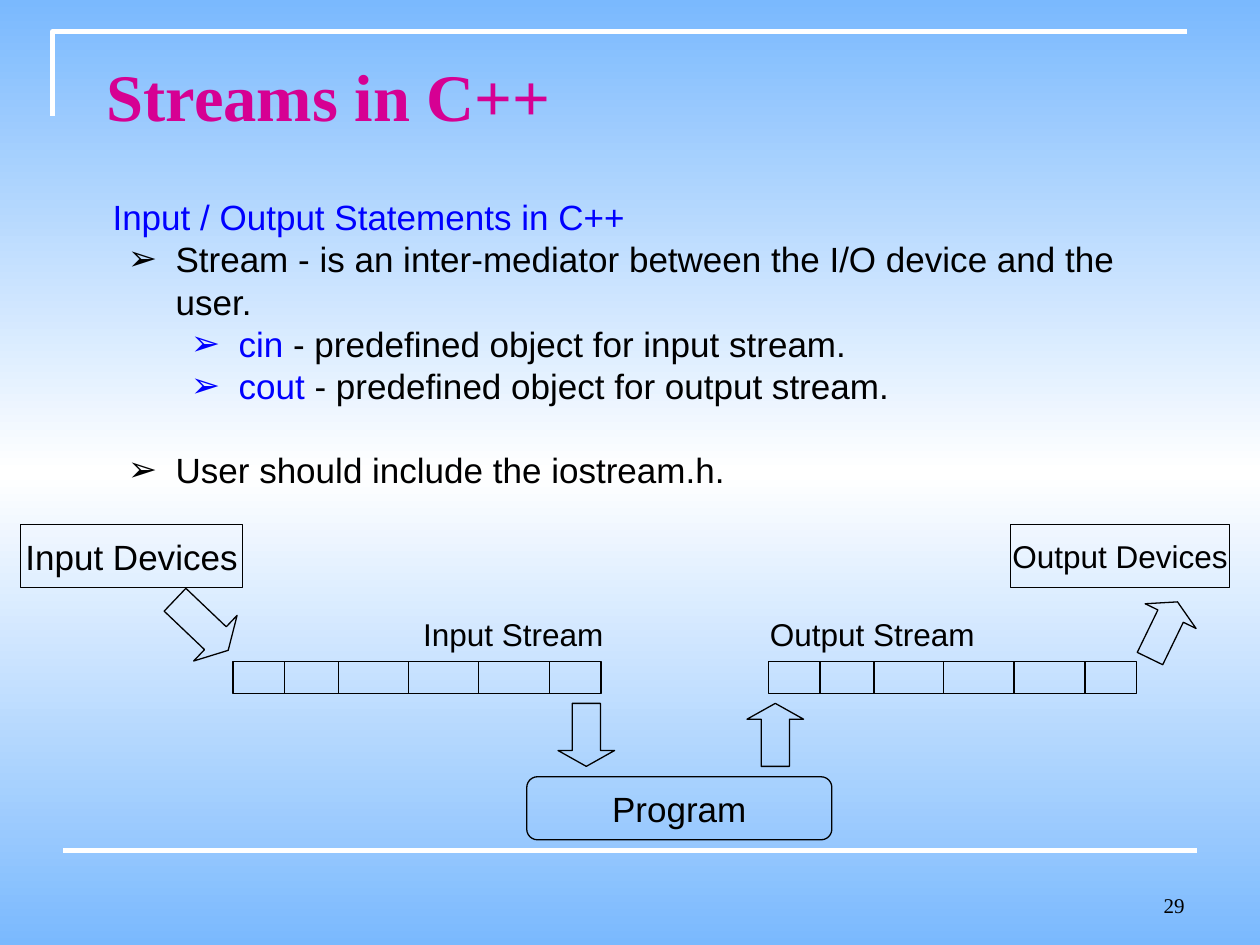
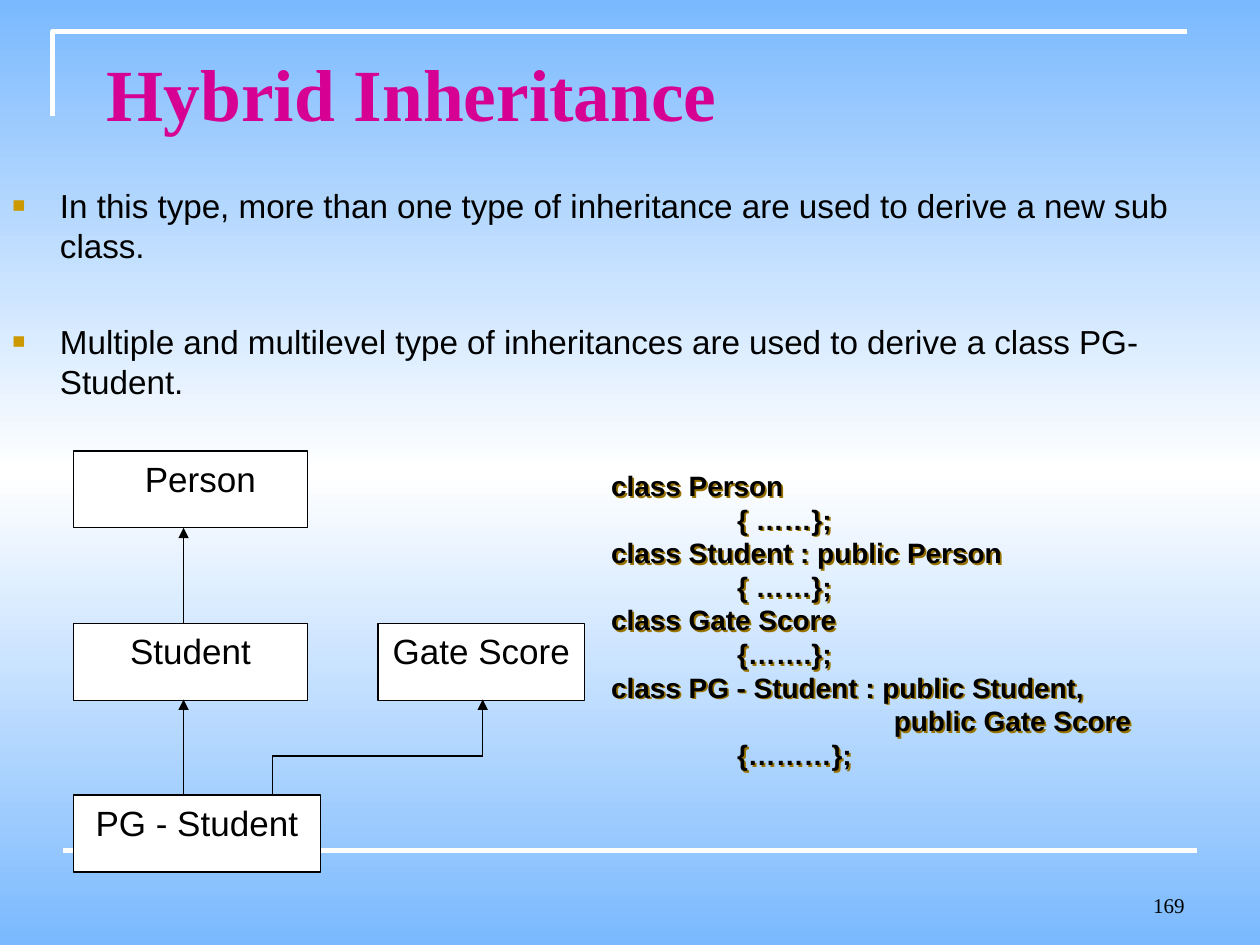
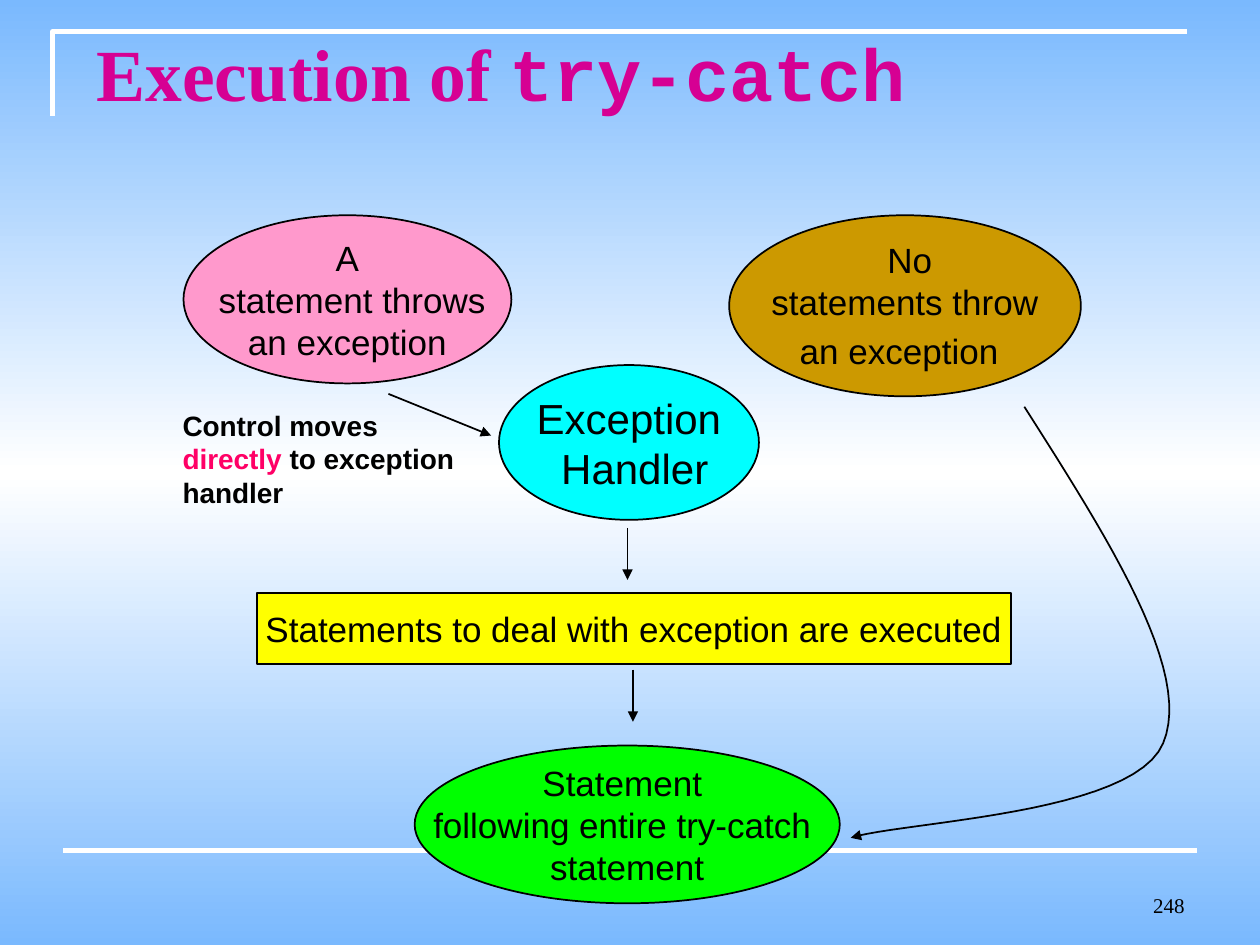
from lxml import etree
from pptx import Presentation
from pptx.dml.color import RGBColor
from pptx.enum.shapes import MSO_CONNECTOR, MSO_SHAPE
from pptx.enum.text import MSO_ANCHOR, PP_ALIGN
from pptx.oxml.ns import qn
from pptx.util import Cm, Pt

RECT, ROUND, OVAL = MSO_SHAPE.RECTANGLE, MSO_SHAPE.ROUNDED_RECTANGLE, MSO_SHAPE.OVAL
DOWN, UP = MSO_SHAPE.DOWN_ARROW, MSO_SHAPE.UP_ARROW
STRAIGHT = MSO_CONNECTOR.STRAIGHT
TOP, MIDDLE, BOTTOM = MSO_ANCHOR.TOP, MSO_ANCHOR.MIDDLE, MSO_ANCHOR.BOTTOM
LEFT, CENTER, RIGHT = PP_ALIGN.LEFT, PP_ALIGN.CENTER, PP_ALIGN.RIGHT

SKY, WHITE, BLACK = "7AB9FE", "FFFFFF", "000000"
MAGENTA, BLUE, GOLD, DARK_GOLD, ROSE = "D60093", "0000FF", "CC9900", "997300", "FF0066"
SANS, SERIF, MONO = "Arial", "Times New Roman", "Courier New"
HANG = 0.96
CELL_EDGES = (1.04, 2.13, 3.53, 4.95, 6.38)


def rgb(color):
    """Turn a hex string into a colour."""
    return RGBColor.from_string(color)


def child(parent, tag, **attrs):
    """Append an XML element with attributes."""
    return etree.SubElement(parent, qn(tag), {k: str(v) for k, v in attrs.items()})


def add_bullet(p, char, color, percent):
    """Give a paragraph a coloured bullet character."""
    pPr = p._p.get_or_add_pPr()
    child(child(pPr, "a:buClr"), "a:srgbClr", val=color)
    child(pPr, "a:buSzPct", val=percent * 1000)
    child(pPr, "a:buFont", typeface=SANS)
    child(pPr, "a:buChar", char=char)


def add_text(tf, content, size=20, color=BLACK, font=SANS, bold=False, align=LEFT,
             indent=0, before=0, bullet=None, bullet_color=BLACK, percent=100):
    """Add one paragraph from a string or a list of (text, format) runs."""
    p = tf.paragraphs[0] if not tf.paragraphs[0].runs else tf.add_paragraph()
    p.alignment = align
    p.space_before = Pt(before)
    pPr = p._p.get_or_add_pPr()
    pPr.set("marL", str(Cm(indent)))
    pPr.set("indent", str(-Cm(HANG) if bullet else 0))
    if bullet:
        add_bullet(p, bullet, bullet_color, percent)
    for text, own in [(content, {})] if isinstance(content, str) else content:
        r = p.add_run()
        r.text = text
        r.font.size = Pt(own.get("size", size))
        r.font.name = own.get("font", font)
        r.font.bold = bold
        r.font.color.rgb = rgb(own.get("color", color))


def set_frame(sp, anchor, wrap):
    """Set anchor, wrapping and insets of a text frame."""
    tf = sp.text_frame
    tf.word_wrap = wrap
    tf.vertical_anchor = anchor
    tf.margin_left = tf.margin_right = Cm(0.25)
    tf.margin_top = tf.margin_bottom = Cm(0.13)
    return tf


def add_box(s, x, y, w, h, anchor=TOP):
    """Add a wrapping text box and return its text frame."""
    return set_frame(s.shapes.add_textbox(Cm(x), Cm(y), Cm(w), Cm(h)), anchor, True)


def set_line(sp, color, width, arrow=False):
    """Style an outline and optionally end it with an arrowhead."""
    sp.line.color.rgb = rgb(color)
    sp.line.width = Pt(width)
    if arrow:
        child(sp.element.spPr.find(qn("a:ln")), "a:tailEnd", type="triangle")


def add_node(s, kind, x, y, w, h, lines=(), fill=None, width=0.75, anchor=MIDDLE,
             wrap=False, adj=None, rotation=0, **fmt):
    """Add an outlined preset shape with centred lines of text."""
    sp = s.shapes.add_shape(kind, Cm(x), Cm(y), Cm(w), Cm(h))
    sp.shadow.inherit = False
    sp.rotation = rotation
    if fill:
        sp.fill.solid()
        sp.fill.fore_color.rgb = rgb(fill)
    else:
        sp.fill.background()
    set_line(sp, BLACK, width)
    for i, value in enumerate(adj or ()):
        sp.adjustments[i] = value
    tf = set_frame(sp, anchor, wrap)
    for line in lines:
        add_text(tf, line, align=CENTER, **fmt)
    return sp


def add_line(s, x1, y1, x2, y2, color=BLACK, width=0.75, arrow=False):
    """Add a straight connector."""
    c = s.shapes.add_connector(STRAIGHT, Cm(x1), Cm(y1), Cm(x2), Cm(y2))
    set_line(c, color, width, arrow)
    child(c.element.spPr, "a:effectLst")


def add_path(s, points, color=BLACK, width=1, arrow=False):
    """Add an open unfilled outline through points."""
    pts = [(Cm(x), Cm(y)) for x, y in points]
    fb = s.shapes.build_freeform(*pts[0], scale=1.0)
    fb.add_line_segments(pts[1:], close=False)
    sp = fb.convert_to_shape()
    sp.shadow.inherit = False
    sp.fill.background()
    set_line(sp, color, width, arrow)


def bezier(a, b, c, d, steps=24):
    """Return points along a cubic curve."""
    curve = []
    for i in range(steps + 1):
        t = i / steps
        weights = ((1 - t) ** 3, 3 * t * (1 - t) ** 2, 3 * t * t * (1 - t), t ** 3)
        curve.append(tuple(sum(k * q[axis] for k, q in zip(weights, (a, b, c, d)))
                           for axis in (0, 1)))
    return curve


def set_background(master):
    """Fill the master with a vertical sky gradient."""
    master.background.fill.gradient()
    master.background.fill.gradient_angle = 90
    stops = master.element.find(".//" + qn("a:gsLst"))
    for gs in list(stops):
        stops.remove(gs)
    for pos, color in ((0, SKY), (50, WHITE), (100, SKY)):
        child(child(stops, "a:gs", pos=pos * 1000), "a:srgbClr", val=color)


def new_slide(prs, number, title, x, y, w, h, size=42, anchor=MIDDLE):
    """Add a slide with the white rules, page number and title."""
    s = prs.slides.add_slide(prs.slide_layouts[6])
    add_path(s, [(1.06, 2.33), (1.06, 0.64), (23.92, 0.64)], WHITE, 3)
    add_line(s, 1.27, 17.15, 24.13, 17.15, WHITE, 3)
    add_text(add_box(s, 18.2, 17.36, 5.93, 1.27, BOTTOM), str(number),
             size=12, font=SERIF, align=RIGHT)
    add_text(add_box(s, x, y, w, h, anchor), title,
             size=size, font=SERIF, color=MAGENTA, bold=True)
    return s


def add_stream(s, x, label, label_x):
    """Add a labelled buffer split into cells."""
    add_node(s, RECT, x, 13.34, 7.42, 0.64)
    for edge in CELL_EDGES:
        add_line(s, x + edge, 13.34, x + edge, 13.98)
    add_text(add_box(s, label_x, 12.27, 4.65, 1.02), label, size=18)


def streams_slide(prs):
    """Build the slide on streams."""
    s = new_slide(prs, 29, "Streams in C++", 1.9, 0.64, 22.65, 2.54, size=38)
    tf = add_box(s, 1.06, 3.82, 22.86, 6.19)
    add_text(tf, "Input / Output Statements in C++", color=BLUE, indent=HANG)
    add_text(tf, "Stream - is an inter-mediator between the I/O device and the user.",
             indent=2.23, bullet="➢")
    for name, rest in (("cin ", "- predefined object for input stream."),
                       ("cout", " - predefined object for output stream.")):
        add_text(tf, [(name, {"color": BLUE}), (rest, {})],
                 indent=3.5, bullet="➢", bullet_color=BLUE)
    add_text(tf, "User should include the iostream.h.", indent=2.23, bullet="➢", before=24)

    add_node(s, RECT, 0.42, 10.58, 4.47, 1.27, ["Input Devices"])
    add_node(s, RECT, 20.37, 10.58, 4.42, 1.27, ["Output Devices"], size=18)
    add_stream(s, 4.7, "Input Stream", 8.28)
    add_stream(s, 15.49, "Output Stream", 15.27)
    add_node(s, ROUND, 10.62, 15.66, 6.15, 1.27, ["Program"], adj=[0.17])
    for kind, x, y, w, h, turn in ((DOWN, 3.43, 11.86, 1.27, 1.48, 313.6),
                                   (UP, 22.89, 12.07, 1.14, 1.27, 25.9),
                                   (DOWN, 11.25, 14.18, 1.14, 1.27, 0),
                                   (UP, 15.06, 14.18, 1.14, 1.27, 0)):
        add_node(s, kind, x, y, w, h, adj=[0.5, 0.28], rotation=turn)


def add_code(s):
    """Add the class listing with its text shadow."""
    sp = s.shapes.add_textbox(Cm(12.07), Cm(9.32), Cm(12.47), Cm(6.35))
    shadow = child(child(sp.element.spPr, "a:effectLst"), "a:outerShdw",
                   dist=Cm(0.05), dir=2700000, algn="ctr", rotWithShape=0)
    child(shadow, "a:srgbClr", val=DARK_GOLD)
    tf = set_frame(sp, MIDDLE, True)
    for indent, line in ((0, "class Person"), (2.54, "{ ……};"),
                         (0, "class Student : public Person"), (2.54, "{ ……};"),
                         (0, "class Gate Score"), (2.54, "{…….};"),
                         (0, "class PG - Student : public Student,"),
                         (5.7, "public Gate Score"), (2.54, "{………};")):
        add_text(tf, line, size=16, bold=True, indent=indent)


def inheritance_slide(prs):
    """Build the slide on hybrid inheritance."""
    s = new_slide(prs, 169, "Hybrid Inheritance", 1.9, 0.76, 22.23, 2.21)
    tf = add_box(s, 0, 3.6, 24.34, 13.54)
    for before, text in (
            (4.8, "In this type, more than one type of inheritance are used to derive "
                  "a new sub class."),
            (32.4, "Multiple and multilevel type of inheritances are used to derive "
                   "a class PG-Student.")):
        add_text(tf, text, size=19, indent=HANG, before=before,
                 bullet="■", bullet_color=GOLD, percent=65)
    for name, x, y, w in (("Person", 1.48, 9.09, 4.72), ("Student", 1.48, 12.57, 4.72),
                          ("PG - Student", 1.48, 16.03, 4.98),
                          ("Gate Score", 7.62, 12.57, 4.17)):
        sp = add_node(s, RECT, x, y, w, 1.55, [name], fill=WHITE, anchor=TOP, wrap=True)
        if name == "Person":
            sp.text_frame.margin_left = Cm(0.65)
    add_line(s, 3.7, 12.57, 3.7, 10.64, arrow=True)
    add_line(s, 3.7, 16.03, 3.7, 14.1, arrow=True)
    add_line(s, 5.49, 15.24, 5.49, 16.03)
    add_line(s, 5.49, 15.24, 9.73, 15.24)
    add_line(s, 9.73, 15.24, 9.73, 14.1, arrow=True)
    add_code(s)


def exception_slide(prs):
    """Build the slide on exception handling."""
    title = [("Execution of ", {}), ("try-catch", {"font": MONO})]
    s = new_slide(prs, 248, title, 1.7, 0.43, 21.8, 3.18, anchor=TOP)
    no_throw = [" No", " statements throw ", [("an exception", {}), (" ", {"size": 24})]]
    for kind, x, y, w, h, fill, size, lines in (
            (OVAL, 14.7, 4.34, 7.09, 3.65, GOLD, 20, no_throw),
            (OVAL, 8.36, 15.03, 8.57, 3.18, "00FF00", 20,
             ["Statement ", "following entire try-catch ", "statement"]),
            (OVAL, 3.7, 4.34, 6.61, 3.39, "FF99CC", 20,
             ["A", " statement throws", "an exception"]),
            (OVAL, 10.06, 7.36, 5.24, 3.12, "00FFFF", 24, ["Exception", " Handler"]),
            (RECT, 5.18, 11.96, 15.2, 1.43, "FFFF00", 20,
             ["Statements to deal with exception are executed"])):
        add_node(s, kind, x, y, w, h, lines, fill=fill, width=1, size=size)
    for ends in ((7.83, 7.94, 9.9, 8.78), (12.65, 10.64, 12.65, 11.69),
                 (12.76, 13.5, 12.76, 14.55)):
        add_line(s, *ends, width=1, arrow=True)
    turn = (23.45, 14.98)
    bypass = bezier((20.65, 8.2), (22.35, 10.87), (24.05, 13.54), turn)
    bypass += bezier(turn, (22.86, 16.43), (18.19, 16.56), (17.15, 16.89))[1:]
    add_path(s, bypass, arrow=True)
    add_text(add_box(s, 3.43, 8.1, 6.3, 2.29),
             [("Control moves ", {}), ("directly", {"color": ROSE}),
              (" to exception handler", {})], size=16, bold=True)


def main():
    """Build the three slides and save them."""
    prs = Presentation()
    prs.slide_width, prs.slide_height = Cm(25.4), Cm(19.05)
    set_background(prs.slide_master)
    streams_slide(prs)
    inheritance_slide(prs)
    exception_slide(prs)
    prs.save("out.pptx")


if __name__ == "__main__":
    main()
